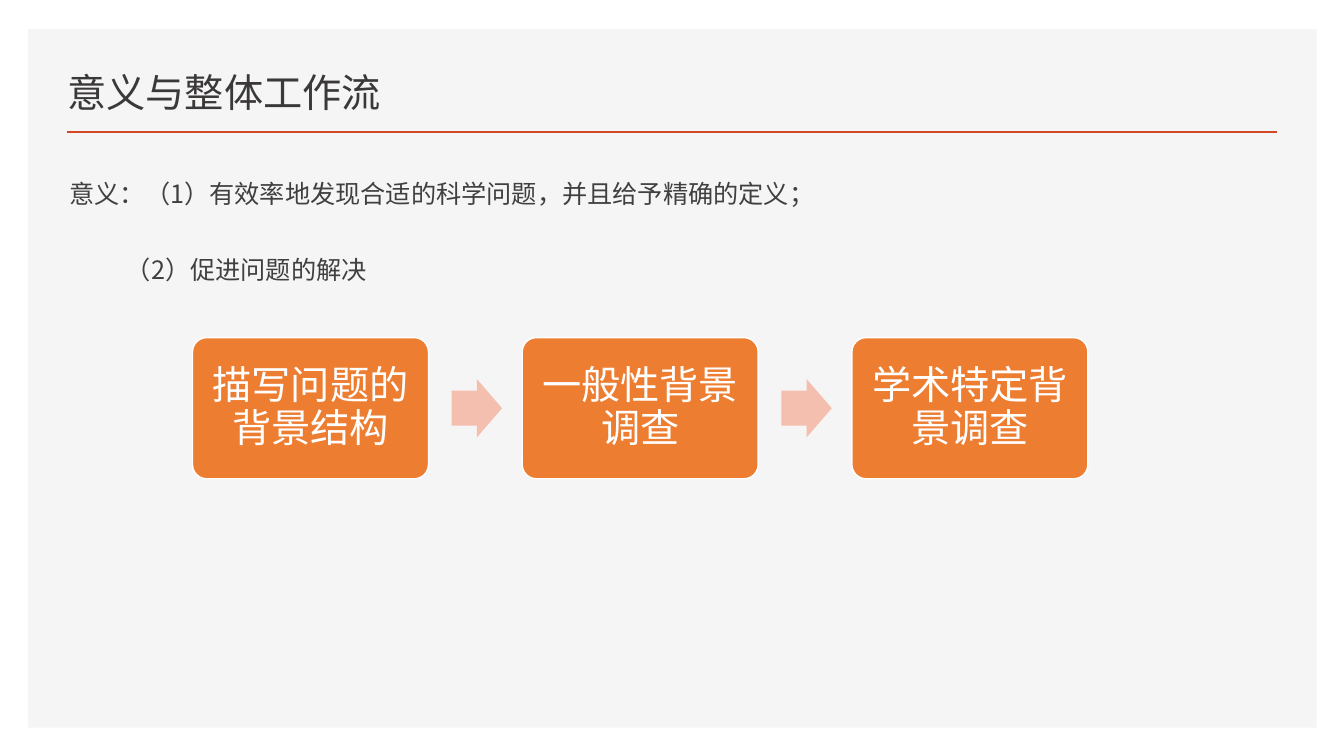
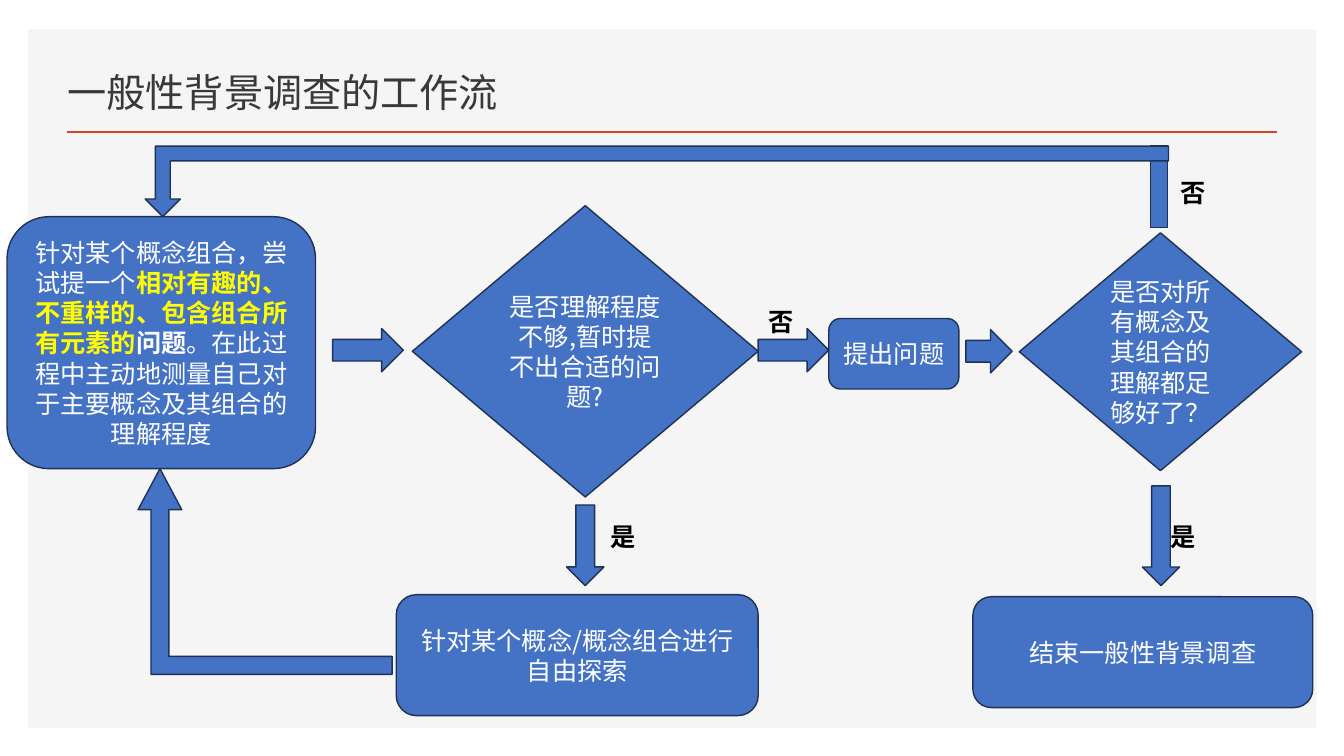
from dataclasses import dataclass

from lxml.etree import SubElement
from pptx import Presentation
from pptx.dml.color import RGBColor
from pptx.enum.shapes import MSO_CONNECTOR, MSO_SHAPE
from pptx.enum.text import MSO_ANCHOR, PP_ALIGN
from pptx.oxml.ns import qn
from pptx.util import Pt

PX = 9144  # EMU per px, 100 px to the inch


@dataclass(frozen=True)
class Theme:
    font: str = "Noto Sans CJK SC"
    panel: str = "F5F5F5"
    rule: str = "D24726"
    title: str = "3B3838"
    body: str = "404040"
    step: str = "ED7D31"
    step_arrow: str = "F4BFAE"
    flow: str = "4472C4"
    flow_line: str = "1E3256"
    white: str = "FFFFFF"
    black: str = "000000"
    highlight: str = "FFFF00"
    large: int = 28
    normal: int = 18


T = Theme()


def put(slide, kind, box, fill=None, line=None, adj=(), flip=""):
    """Add a preset shape, or a text box when kind is None; box is in px."""
    box = [v * PX for v in box]
    if kind is None:
        return slide.shapes.add_textbox(*box)
    s = slide.shapes.add_shape(kind, *box)
    s.shadow.inherit = False
    s.fill.solid()
    s.fill.fore_color.rgb = RGBColor.from_string(fill)
    if line:
        s.line.color.rgb = RGBColor.from_string(line)
        s.line.width = Pt(1)
    else:
        s.line.fill.background()
    for i, value in enumerate(adj):
        s.adjustments[i] = value
    for axis in flip:
        s._element.spPr.find(qn("a:xfrm")).set(f"flip{axis}", "1")
    return s


def write(s, text, size=T.normal, color=T.white, bold=False, align=PP_ALIGN.CENTER,
          anchor=MSO_ANCHOR.MIDDLE, spacing=None, before=None, after=None,
          indent=0, inset=None):
    """Append a paragraph; text is a string or a list of (text, color, bold) runs."""
    tf = s.text_frame
    tf.word_wrap = True
    tf.vertical_anchor = anchor
    if inset is not None:
        tf.margin_left = tf.margin_right = tf.margin_top = tf.margin_bottom = inset * PX
    p = tf.add_paragraph() if tf.text else tf.paragraphs[0]
    p.alignment = align
    p.line_spacing = spacing
    p.space_before = before
    p.space_after = after
    if indent:
        p._p.get_or_add_pPr().set("marL", str(indent * PX))
    runs = [(text, color, bold)] if isinstance(text, str) else text
    for words, run_color, run_bold in runs:
        r = p.add_run()
        r.text = words
        r.font.size = Pt(size)
        r.font.bold = run_bold
        r.font.name = T.font
        r.font.color.rgb = RGBColor.from_string(run_color)
        SubElement(r._r.get_or_add_rPr(), qn("a:ea")).set("typeface", T.font)


prs = Presentation()
prs.slide_width = 1333 * PX
prs.slide_height = 750 * PX

# Panel, rule and title on every slide
slides = []
for title in ("意义与整体工作流", "一般性背景调查的工作流"):
    slide = prs.slides.add_slide(prs.slide_layouts[6])
    put(slide, MSO_SHAPE.RECTANGLE, (28, 29, 1278, 693), T.panel)
    rule = slide.shapes.add_connector(
        MSO_CONNECTOR.STRAIGHT, 66 * PX, 131 * PX, 1267 * PX, 131 * PX)
    rule.line.color.rgb = RGBColor.from_string(T.rule)
    rule.line.width = Pt(2)
    SubElement(rule._element.spPr, qn("a:effectLst"))
    write(put(slide, None, (57, 49, 752, 70)), title, size=T.large, color=T.title,
          align=PP_ALIGN.LEFT, anchor=MSO_ANCHOR.BOTTOM)
    slides.append(slide)
overview, workflow = slides

# Slide 1: purpose and the three steps
purpose = put(overview, None, (59, 157, 1201, 160))
for text, indent in (
    ("意义：（1）有效率地发现合适的科学问题，并且给予精确的定义；", 0),
    ("（2）促进问题的解决", 56),
):
    write(purpose, text, color=T.body, align=PP_ALIGN.LEFT, anchor=MSO_ANCHOR.TOP,
          spacing=1.5, before=Pt(10), after=Pt(12), indent=indent)

STEP_PITCH = 327
steps = ("描写问题的背景结构", "一般性背景调查", "学术特定背景调查")
for i, text in enumerate(steps):
    x = 191 + i * STEP_PITCH
    if i:
        put(overview, MSO_SHAPE.RIGHT_ARROW, (x - 70, 376, 50, 58), T.step_arrow,
            adj=(0.6, 0.5))
    s = put(overview, MSO_SHAPE.ROUNDED_RECTANGLE, (x, 335, 234, 140), T.step, T.white,
            adj=(0.1,))
    write(s, text, size=T.large, spacing=0.9, inset=12)

# Slide 2: boxes and decisions
idea = [
    ("针对某个概念组合，尝试提一个", T.white, False),
    ("相对有趣的、不重样的、包含组合所有元素的", T.highlight, True),
    ("问题", T.white, True),
    ("。在此过程中主动地测量自己对于主要概念及其组合的理解程度", T.white, False),
]
BOX, DECISION = MSO_SHAPE.ROUNDED_RECTANGLE, MSO_SHAPE.FLOWCHART_DECISION
for kind, box, text in (
    (BOX, (7, 215, 306, 250), idea),
    (DECISION, (409, 204, 343, 289), "是否理解程度不够,暂时提不出合适的问题?"),
    (BOX, (393, 590, 359, 120), "针对某个概念/概念组合进行自由探索"),
    (BOX, (822, 316, 129, 70), "提出问题"),
    (DECISION, (1011, 231, 280, 236), "是否对所有概念及其组合的理解都足够好了？"),
    (BOX, (965, 592, 337, 110), "结束一般性背景调查"),
):
    write(put(workflow, kind, box, T.flow, T.flow_line), text)

# Slide 2: arrows, with the stub that starts the upper return path
RIGHT, DOWN, BENT = MSO_SHAPE.RIGHT_ARROW, MSO_SHAPE.DOWN_ARROW, MSO_SHAPE.BENT_UP_ARROW
for kind, box, adj, flip in (
    (RIGHT, (330, 326, 70, 43), (), ""),
    (RIGHT, (752, 326, 70, 43), (), ""),
    (RIGHT, (958, 327, 46, 43), (), ""),
    (DOWN, (562, 501, 37, 80), (), ""),
    (DOWN, (1133, 482, 37, 99), (), ""),
    (MSO_SHAPE.RECTANGLE, (1141, 145, 17, 81), (), ""),
    (BENT, (137, 465, 252, 204), (0.087, 0.106, 0.199), "H"),
    (BENT, (144, 145, 1015, 70), (0.21, 0.25, 0.25), "HV"),
):
    put(workflow, kind, box, T.flow, T.flow_line, adj, flip)

# Slide 2: branch labels
for text, x, y, w in (
    ("是", 596, 512, 77),
    ("否", 752, 299, 44),
    ("是", 1151, 512, 64),
    ("否", 1161, 171, 64),
):
    write(put(workflow, None, (x, y, w, 40)), text, color=T.black, bold=True,
          align=PP_ALIGN.LEFT, anchor=MSO_ANCHOR.TOP)

prs.save("out.pptx")
